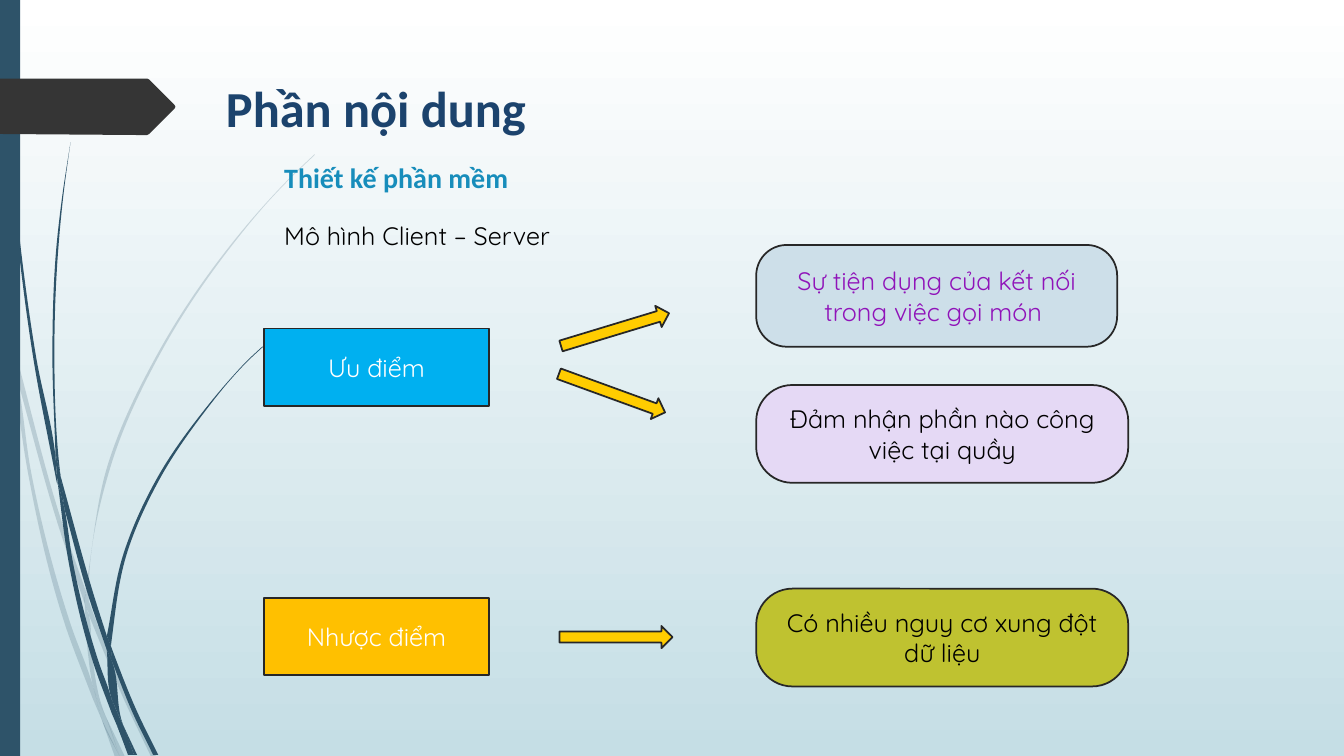
from lxml import etree
from pptx import Presentation
from pptx.dml.color import RGBColor
from pptx.enum.shapes import MSO_SHAPE
from pptx.enum.text import MSO_ANCHOR, PP_ALIGN
from pptx.oxml.ns import qn
from pptx.util import Inches, Pt

RECT, ROUND, ARROW = MSO_SHAPE.RECTANGLE, MSO_SHAPE.ROUNDED_RECTANGLE, MSO_SHAPE.RIGHT_ARROW
LEFT, CENTER = PP_ALIGN.LEFT, PP_ALIGN.CENTER
TOP, MIDDLE = MSO_ANCHOR.TOP, MSO_ANCHOR.MIDDLE
TEAL, DARK, WHITE, BLACK = "2E5369", "272727", "FFFFFF", "000000"
BODY = {"name": "Quicksand", "size": Pt(18)}
rgb = RGBColor.from_string

prs = Presentation()
prs.slide_width, prs.slide_height = Inches(13.33), Inches(7.5)
COL, ROW = prs.slide_width / 13.33, prs.slide_height / 7.5
s = prs.slides.add_slide(prs.slide_layouts[6])

bg = s.background.fill
bg.gradient()
bg.gradient_angle = 270
for stop, color in zip(bg.gradient_stops, (WHITE, "C5DEE5")):
    stop.color.rgb = rgb(color)


def paint(sp, fill, line=None):
    sp.shadow.inherit = False
    sp.fill.solid()
    sp.fill.fore_color.rgb = rgb(fill)
    if line:
        sp.line.color.rgb = rgb(line)
        sp.line.width = Pt(1.25)
    else:
        sp.line.fill.background()


def write(sp, text, color, fmt, align, anchor):
    tf = sp.text_frame
    tf.word_wrap = True
    tf.vertical_anchor = anchor
    p = tf.paragraphs[0]
    p.alignment = align
    r = p.add_run()
    r.text = text
    r.font.color.rgb = rgb(color)
    for key, value in fmt.items():
        setattr(r.font, key, value)


faint_blades = [
    ([(0, 2.82), (.09, 3.22), (.11, 3.5)], [(.1, 3.44), (0, 2.99)]),
    ([(.14, 3.45), (.62, 5.2), (.85, 5.86)], [(.84, 5.99), (.58, 5.22), (.17, 3.76)]),
    ([(.88, 5.96), (.92, 6.07), (1.27, 6.92), (1.55, 7.51)],
     [(1.5, 7.51), (1.23, 6.94), (.88, 6.1)]),
    ([(1.05, 7.11), (1.24, 7.51)], [(1.19, 7.51), (1.05, 7.11)]),
    ([(.11, 3.5), (.17, 3.76), (.31, 4.69), (.7, 6.19), (.93, 6.83), (.99, 7.07), (1.01, 7.14)],
     [(.92, 6.93), (.65, 6.21), (.28, 4.7), (.11, 3.5)]),
    ([(.84, 5.99), (.88, 6.1), (.91, 6.46), (1.03, 7.06), (1.05, 7.11)],
     [(.96, 6.92), (.93, 6.83), (.87, 6.46), (.84, 5.99)]),
    ([(3.12, 1.53), (2.89, 1.75), (2.68, 1.97), (2.28, 2.44), (1.58, 3.48), (1.07, 4.61),
      (.85, 5.84)],
     [(.88, 5.96), (.88, 5.84), (1.1, 4.62), (1.6, 3.49), (2.29, 2.45), (2.68, 1.98),
      (2.9, 1.75), (3.12, 1.54)]),
    ([(1.01, 7.14), (1.14, 7.51)], [(1.19, 7.51), (1.01, 7.14)]),
    ([(.88, 6.1), (.88, 5.96)], [(.85, 5.86), (.84, 5.99), (.88, 6.08)]),
    ([(.93, 6.83), (.99, 7.07), (1.01, 7.14), (1.19, 7.51)],
     [(1.19, 7.51), (1.05, 7.11), (.96, 6.92)]),
]
solid_blades = [
    ([(.04, 0), (.05, .48), (.08, 1.09), (.19, 2.32), (.36, 3.55), (.55, 4.53), (.57, 4.81)],
     [(.56, 4.77), (.33, 3.55), (.17, 2.33), (.07, 1.1), (.04, .48), (.03, 0)]),
    ([(.6, 4.72), (.93, 5.9), (1.06, 6.31)], [(1.06, 6.45), (.88, 5.92), (.64, 5.05)]),
    ([(1.1, 6.41), (1.13, 6.49), (1.36, 7.06), (1.57, 7.49)],
     [(1.52, 7.49), (1.32, 7.08), (1.11, 6.56)]),
    ([(.57, 4.77), (.64, 5.05), (.72, 5.56), (.98, 6.57), (1.1, 6.91), (1.17, 7.22)],
     [(1.11, 7.08), (.93, 6.59), (.68, 5.57), (.57, 4.77)]),
    ([(.7, 1.41), (.63, 1.93), (.58, 2.45), (.54, 3.49), (.58, 4.53), (.6, 4.72)],
     [(.55, 4.49), (.52, 3.49), (.56, 2.45), (.62, 1.93), (.7, 1.41)]),
    ([(1.22, 7.19), (1.36, 7.49)], [(1.33, 7.49), (1.22, 7.19)]),
    ([(.55, 4.49), (.6, 4.72), (.64, 5.05)], [(.57, 4.77), (.55, 4.53)]),
    ([(2.6, 3.44), (2.45, 3.58), (2.31, 3.73), (2.04, 4.05), (1.56, 4.74), (1.22, 5.51),
      (1.06, 6.31)],
     [(1.1, 6.41), (1.11, 6.33), (1.25, 5.52), (1.58, 4.76), (2.05, 4.06), (2.31, 3.74),
      (2.45, 3.59), (2.61, 3.44)]),
    ([(1.17, 7.22), (1.31, 7.49)], [(1.27, 7.49), (1.17, 7.22)]),
    ([(1.06, 6.45), (1.11, 6.56), (1.21, 7.16), (1.22, 7.19)],
     [(1.16, 7.06), (1.1, 6.91), (1.06, 6.45)]),
    ([(1.06, 6.31), (1.1, 6.41), (1.11, 6.56)], [(1.06, 6.45), (1.06, 6.31)]),
    ([(1.1, 6.91), (1.16, 7.06), (1.22, 7.19), (1.33, 7.49)],
     [(1.3, 7.49), (1.17, 7.22), (1.1, 6.91)]),
]
for blades, alpha in ((faint_blades, 20), (solid_blades, 100)):
    group = s.shapes.add_group_shape()
    for blade in blades:
        pts, bends = [], []
        for edge in blade:
            knots = [complex(*knot) for knot in edge]
            gaps = [abs(b - a) for a, b in zip(knots, knots[1:])]
            slopes = [(b - a) / g for a, b, g in zip(knots, knots[1:], gaps)]
            tangents = [slopes[0]]
            for u, v, g, h in zip(slopes, slopes[1:], gaps, gaps[1:]):
                tangents.append((u * h + v * g) / (g + h))
            tangents.append(slopes[-1])
            pts.append(knots[0])
            for i, g in enumerate(gaps):
                bends.append(len(pts) - 1)
                pts += [knots[i] + tangents[i] * g / 3,
                        knots[i + 1] - tangents[i + 1] * g / 3, knots[i + 1]]
        outline = [(z.real * COL, z.imag * ROW) for z in pts]
        fb = group.shapes.build_freeform(*outline[0])
        fb.add_line_segments(outline[1:], close=True)
        sp = fb.convert_to_shape()
        nodes = list(sp._element.iter(qn("a:lnTo")))
        for i in bends:
            bend, *rest = nodes[i:i + 3]
            bend.tag = qn("a:cubicBezTo")
            for node in rest:
                bend.append(node[0])
                node.getparent().remove(node)
        paint(sp, TEAL)
        if alpha < 100:
            clr = sp.fill._xPr.find(qn("a:solidFill"))[0]
            etree.SubElement(clr, qn("a:alpha"), val=str(alpha * 1000))

bar = s.shapes.add_shape(RECT, 0, 0, round(.2 * COL), prs.slide_height)
paint(bar, TEAL)

tab = [(0, .78), (1.46, .78), (1.48, .79), (1.73, 1.04), (1.74, 1.06), (1.73, 1.08),
       (1.48, 1.33), (1.46, 1.34), (1.36, 1.34), (0, 1.33)]
fb = s.shapes.build_freeform(0, .78 * ROW)
fb.add_line_segments([(x * COL, y * ROW) for x, y in tab[1:]], close=True)
paint(fb.convert_to_shape(), "353535")

headings = [
    ("Phần nội dung", 1.52, .72, 4.42, .9, "1C436D", CENTER,
     {"name": "Calibri", "size": Pt(36), "bold": True}),
    ("Thiết kế phần mềm", 2.72, 1.54, 3.71, .44, "178DBB", LEFT,
     {"name": "Calibri", "size": Pt(20), "bold": True}),
    ("Mô hình Client – Server", 2.72, 2.14, 3.11, .4, BLACK, LEFT, BODY),
]
for text, x, y, w, h, color, align, fmt in headings:
    sp = s.shapes.add_textbox(round(x * COL), round(y * ROW), round(w * COL), round(h * ROW))
    write(sp, text, color, fmt, align, TOP)

boxes = [
    ("Ưu điểm", RECT, 2.62, 3.26, 2.23, .77, "00B0F0", WHITE, None),
    ("Nhược điểm", RECT, 2.62, 5.93, 2.23, .77, "FFC000", WHITE, None),
    ("Sự tiện dụng của kết nối trong việc gọi món ", ROUND, 7.5, 2.43, 3.58, 1.01,
     "CDDFE9", "9013B9", .3),
    ("Đảm nhận phần nào công việc tại quầy", ROUND, 7.5, 3.82, 3.69, .97,
     "E5D9F5", BLACK, .37),
    ("Có nhiều nguy cơ xung đột dữ liệu", ROUND, 7.5, 5.84, 3.69, .97,
     "BFC230", BLACK, .37),
]
for text, kind, x, y, w, h, fill, color, corner in boxes:
    sp = s.shapes.add_shape(kind, round(x * COL), round(y * ROW), round(w * COL), round(h * ROW))
    if corner:
        sp.adjustments[0] = corner
    paint(sp, fill, DARK)
    write(sp, text, color, BODY, CENTER, MIDDLE)

for x, y, angle in ((5.54, 3.16, 343.1), (5.51, 3.79, 20), (5.55, 6.21, 0)):
    sp = s.shapes.add_shape(ARROW, round(x * COL), round(y * ROW),
                            round(1.12 * COL), round(.22 * ROW))
    sp.rotation = angle
    paint(sp, "FFCC00", DARK)

prs.save("out.pptx")
